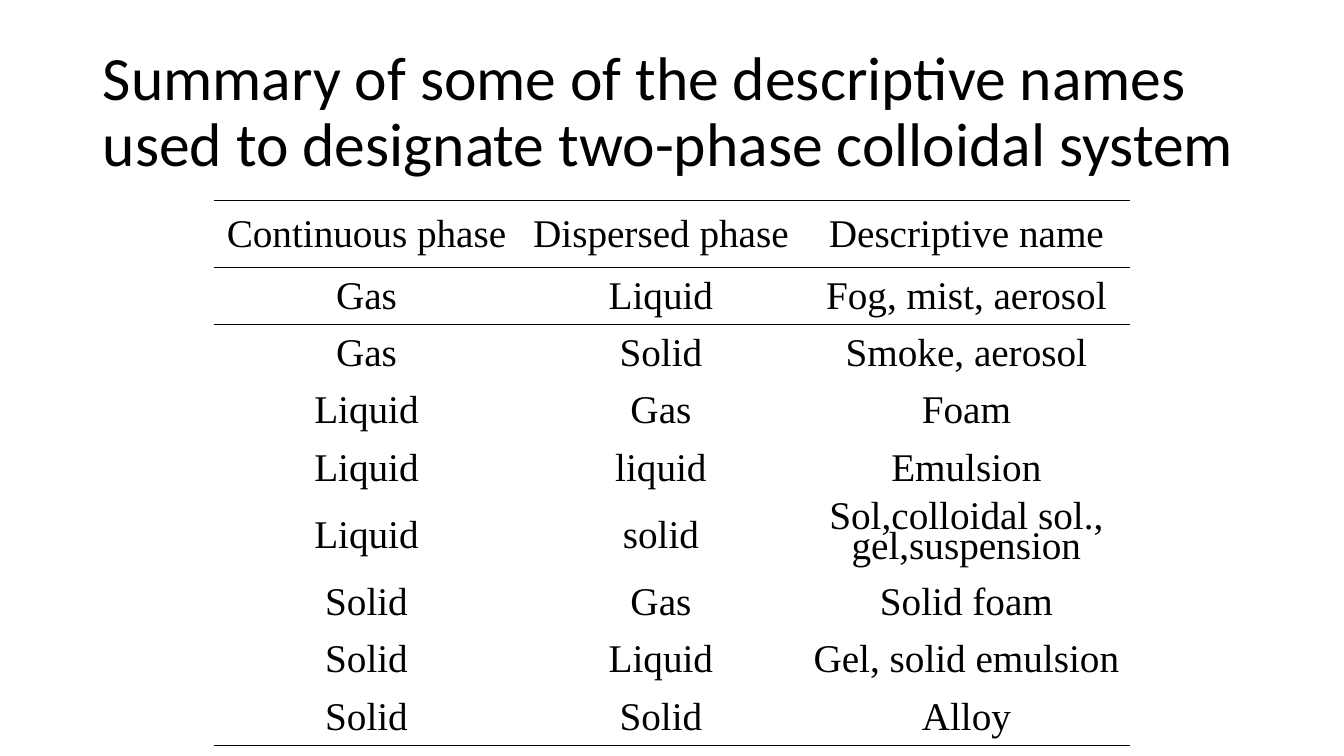
from lxml import etree
from pptx import Presentation, util as u
from pptx.dml.color import RGBColor
from pptx.enum import text
from pptx.oxml import ns

COLORS = {"ink": "000000"}
INK = RGBColor.from_string(COLORS["ink"])
NO_STYLE_NO_GRID = "{2D5ABB26-0587-4C30-8999-92F81FD0307C}"

SYSTEMS = [
    ("Continuous phase", "Dispersed phase", "Descriptive name"),
    ("Gas", "Liquid", "Fog, mist, aerosol"),
    ("Gas", "Solid", "Smoke, aerosol"),
    ("Liquid", "Gas", "Foam"),
    ("Liquid", "liquid", "Emulsion"),
    ("Liquid", "solid", "Sol,colloidal sol., gel,suspension"),
    ("Solid", "Gas", "Solid foam"),
    ("Solid", "Liquid", "Gel, solid emulsion"),
    ("Solid", "Solid", "Alloy"),
]
COLUMN_WIDTHS = [3.03, 2.81, 3.25]
ROW_HEIGHT = 0.57
SPECIAL_HEIGHTS = {0: 0.66, 5: 0.76}
HEADER, LAST, TIGHT = 0, len(SYSTEMS) - 1, 5


def add_rule(cell, side):
    """Draw a 1 pt border on one side of a cell ("lnT" or "lnB")."""
    line = etree.Element(ns.qn("a:" + side), w=str(u.Pt(1)))
    fill = etree.SubElement(line, ns.qn("a:solidFill"))
    etree.SubElement(fill, ns.qn("a:srgbClr"), val=COLORS["ink"])
    cell._tc.get_or_add_tcPr().insert(0, line)


deck = Presentation()
deck.slide_width, deck.slide_height = u.Inches(13.33), u.Inches(7.5)
page = deck.slides.add_slide(deck.slide_layouts[5])

# Title
title = page.shapes.title
title.left, title.top = u.Inches(0.92), u.Inches(0.4)
title.width, title.height = u.Inches(11.5), u.Inches(1.45)
frame = title.text_frame
frame.text = "Summary of some of the descriptive names used to designate two-phase colloidal system"
frame.word_wrap = True
frame.auto_size = text.MSO_AUTO_SIZE.NONE
frame.vertical_anchor = text.MSO_ANCHOR.MIDDLE
para = frame.paragraphs[0]
para.alignment = text.PP_ALIGN.LEFT
para.line_spacing = 0.9
para.font.name, para.font.size = "Calibri", u.Pt(44)
para.font.color.rgb = INK

# Table grid
heights = [SPECIAL_HEIGHTS.get(row, ROW_HEIGHT) for row in range(len(SYSTEMS))]
table = page.shapes.add_table(
    len(SYSTEMS), len(COLUMN_WIDTHS), u.Inches(2.12), u.Inches(1.99),
    u.Inches(sum(COLUMN_WIDTHS)), u.Inches(sum(heights))).table
table.first_row = table.horz_banding = False
table._tbl.tblPr.find(ns.qn("a:tableStyleId")).text = NO_STYLE_NO_GRID
for column, width in zip(table.columns, COLUMN_WIDTHS):
    column.width = u.Inches(width)
for row, height in zip(table.rows, heights):
    row.height = u.Inches(height)

# Table cells
for row, names in enumerate(SYSTEMS):
    for column, name in enumerate(names):
        cell = table.cell(row, column)
        cell.text = name
        cell.fill.background()
        cell.vertical_anchor = text.MSO_ANCHOR.MIDDLE
        para = cell.text_frame.paragraphs[0]
        para.alignment = text.PP_ALIGN.CENTER
        if (row, column) == (TIGHT, 2):
            para.line_spacing = 0.7
        para.font.name, para.font.size = "Times New Roman", u.Pt(28)
        para.font.color.rgb = INK
        if row in (HEADER, LAST):
            add_rule(cell, "lnB")
        if row in (HEADER, HEADER + 1):
            add_rule(cell, "lnT")

deck.save("out.pptx")
